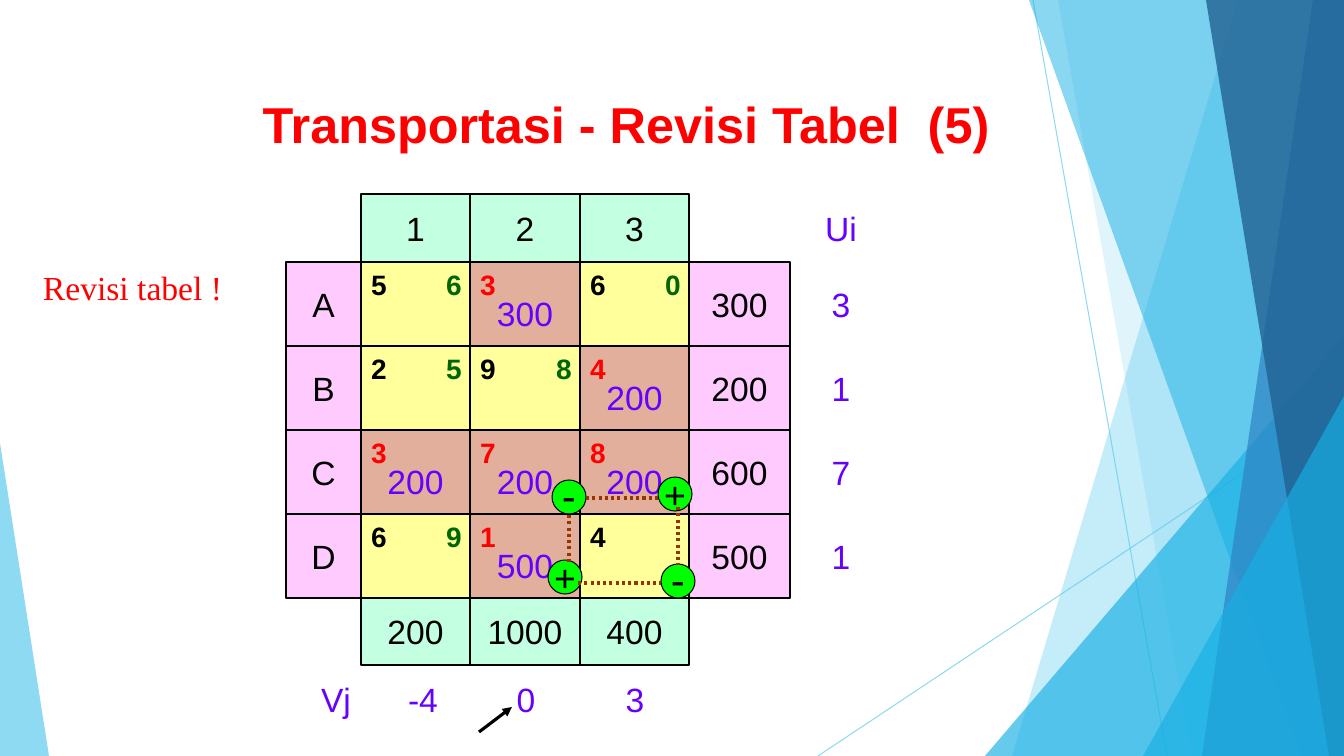
from lxml import etree
from pptx import Presentation
from pptx import util as u
from pptx.dml.color import RGBColor
from pptx.enum import dml, shapes, text
from pptx.oxml import ns

PX = 12192000 / 1344  # EMU per px
W, H = 1344, 756

BLACK, RED = RGBColor(0, 0, 0), RGBColor(0xFF, 0, 0)
VIOLET, GREEN = RGBColor(0x66, 0, 0xFF), RGBColor(0, 0x66, 0)
YELLOW, BROWN = RGBColor(0xFF, 0xFF, 0x9B), RGBColor(0xE3, 0xAF, 0x9D)
PINK, MINT = RGBColor(0xFF, 0xCB, 0xFF), RGBColor(0xC3, 0xFF, 0xE1)
LIME, RUST = RGBColor(0, 0xFF, 0), RGBColor(0x99, 0x33, 0)
SKY, CYAN = RGBColor(0x5F, 0xCB, 0xEF), RGBColor(0x17, 0xB0, 0xE4)
BLUE, NAVY = RGBColor(0x2E, 0x83, 0xC3), RGBColor(0x22, 0x62, 0x92)

# Content
TITLE = "Transportasi - Revisi Tabel  (5)"
NOTE = "Revisi tabel !"
DESTINATIONS = ["1", "2", "3"]
DEMAND = ["200", "1000", "400"]
SOURCES = ["A", "B", "C", "D"]
SUPPLY = ["300", "200", "600", "500"]
# Each cell: cost, opportunity value, allocation
CELLS = [
    [("5", "6", ""), ("3", "", "300"), ("6", "0", "")],
    [("2", "5", ""), ("9", "8", ""), ("4", "", "200")],
    [("3", "", "200"), ("7", "", "200"), ("8", "", "200")],
    [("6", "9", ""), ("1", "", "500"), ("4", "", "")],
]
U_VALUES = ["Ui", "3", "1", "7", "1"]
V_VALUES = [("Vj", 336), ("-4", 423), ("0", 526), ("3", 635)]
SIGNS = [("-", 552, 480), ("+", 658, 477), ("+", 548, 560), ("-", 661, 564)]
LOOP = [(586, 498, 661, 498), (678, 507, 678, 565),
        (578, 583, 661, 583), (569, 515, 569, 565)]

# Grid edges
COLS = [286, 361, 470, 580, 689, 790]
ROWS = [194, 262, 346, 430, 514, 598, 665]
U_CENTER, V_CENTER = 841, 699

# Background facets: polygon points, or the box of a right triangle
RAYS = [(1033, 0, 1167, H), (W, 406, 818, H)]
FACETS = [
    ([(1238, 0), (W, 0), (W, H), (1012, H)], SKY, 36),
    ([(1058, 0), (W, 0), (W, H), (1192, H)], SKY, 20),
    ((985, 336, 359, 420, 1), CYAN, 66),
    ([(1029, 0), (W, 0), (W, H), (1301, H)], CYAN, 50),
    ([(1313, 0), (W, 0), (W, H), (1202, H)], BLUE, 70),
    ([(1206, 0), (W, 0), (W, H), (1329, H)], NAVY, 80),
    ((1143, 396, 201, 360, 1), CYAN, 66),
    ((0, 443, 49, 313, 0), SKY, 70),
]

prs = Presentation()
prs.slide_width, prs.slide_height = u.Emu(12192000), u.Emu(6858000)
slide = prs.slides.add_slide(prs.slide_layouts[6])


def emu(*lengths):
    return [u.Emu(round(v * PX)) for v in lengths]


def set_opacity(sp, percent):
    color = sp._element.spPr.find(".//" + ns.qn("a:srgbClr"))
    etree.SubElement(color, ns.qn("a:alpha")).set("val", str(percent * 1000))


def write(sp, words, size=24, color=BLACK, font="Arial", bold=False,
          align=text.PP_ALIGN.CENTER, wrap=False, inset=(0, 0, 0, 0)):
    tf = sp.text_frame
    tf.word_wrap = wrap
    tf.vertical_anchor = text.MSO_ANCHOR.MIDDLE
    (tf.margin_left, tf.margin_top,
     tf.margin_right, tf.margin_bottom) = emu(*inset)
    p = tf.paragraphs[0]
    p.alignment = align
    r = p.add_run()
    r.text = words
    r.font.size, r.font.name, r.font.bold = u.Pt(size), font, bold
    r.font.color.rgb = color


def add_label(words, x, y, w, h, **style):
    write(slide.shapes.add_textbox(*emu(x, y, w, h)), words, **style)


def add_centered(words, x, y, **style):
    add_label(words, x - 40, y - 25, 80, 50, **style)


def add_box(kind, x, y, w, h, fill, line=1.5):
    sp = slide.shapes.add_shape(kind, *emu(x, y, w, h))
    sp.shadow.inherit = False
    sp.fill.solid()
    sp.fill.fore_color.rgb = fill
    if line:
        sp.line.color.rgb, sp.line.width = BLACK, u.Pt(line)
    else:
        sp.line.fill.background()
    return sp


def add_cell(col, row, fill):
    x, y = COLS[col], ROWS[row]
    return add_box(shapes.MSO_SHAPE.RECTANGLE, x, y,
                   COLS[col + 1] - x, ROWS[row + 1] - y, fill)


def add_line(ends, color, width):
    sp = slide.shapes.add_connector(shapes.MSO_CONNECTOR.STRAIGHT, *emu(*ends))
    sp.line.color.rgb, sp.line.width = color, u.Pt(width)
    etree.SubElement(sp._element.spPr, ns.qn("a:effectLst"))
    return sp


# Background
for ray in RAYS:
    set_opacity(add_line(ray, SKY, 0.75), 70)
for outline, color, opacity in FACETS:
    if isinstance(outline, list):
        pen = slide.shapes.build_freeform(*outline[0], scale=PX)
        pen.add_line_segments(outline[1:], close=True)
        sp = pen.convert_to_shape()
        sp.shadow.inherit = False
        sp.fill.solid()
        sp.fill.fore_color.rgb = color
        sp.line.fill.background()
    else:
        *box, apex = outline
        sp = add_box(shapes.MSO_SHAPE.ISOSCELES_TRIANGLE, *box, color, line=0)
        sp.adjustments[0] = apex
    set_opacity(sp, opacity)

# Title and note
add_label(TITLE, 194, 60, 806, 126, size=36, color=RED, bold=True, wrap=True,
          align=text.PP_ALIGN.RIGHT, inset=(10, 5, 10, 5))
add_label(NOTE, 33, 262, 227, 50, color=RED, font="Times New Roman", wrap=True,
          align=text.PP_ALIGN.LEFT, inset=(10, 5, 10, 5))

# Table margins
for col, (name, demand) in enumerate(zip(DESTINATIONS, DEMAND), 1):
    write(add_cell(col, 0, MINT), name)
    write(add_cell(col, 5, MINT), demand)
for row, (name, supply) in enumerate(zip(SOURCES, SUPPLY), 1):
    write(add_cell(0, row, PINK), name)
    write(add_cell(4, row, PINK), supply)

# Table cells
for row, line in enumerate(CELLS, 1):
    for col, (cost, value, allocation) in enumerate(line, 1):
        sp = add_cell(col, row, BROWN if allocation else YELLOW)
        if allocation:
            write(sp, allocation, color=VIOLET, inset=(0, 18, 0, 0))
        add_label(cost, COLS[col], ROWS[row], 36, 44, size=20, bold=True,
                  color=RED if allocation else BLACK)
        if value:
            add_label(value, COLS[col + 1] - 34, ROWS[row], 36, 44, size=20,
                      bold=True, color=GREEN)

# Ui and Vj values
for row, value in enumerate(U_VALUES):
    add_centered(value, U_CENTER, (ROWS[row] + ROWS[row + 1]) / 2, color=VIOLET)
for value, center in V_VALUES:
    add_centered(value, center, V_CENTER, color=VIOLET)
arrow = add_line((479, 732, 512, 707), BLACK, 2.25)
etree.SubElement(arrow.line._get_or_add_ln(), ns.qn("a:tailEnd")).set("type", "triangle")

# Reallocation loop
for sign, x, y in SIGNS:
    sp = add_box(shapes.MSO_SHAPE.OVAL, x, y, 34, 34, LIME, line=0.75)
    write(sp, sign, size=28, font="Times New Roman", bold=True,
          inset=(0, 0, 0, 6 if sign == "-" else 0))
for ends in LOOP:
    add_line(ends, RUST, 2.25).line.dash_style = dml.MSO_LINE.ROUND_DOT

prs.save("out.pptx")
